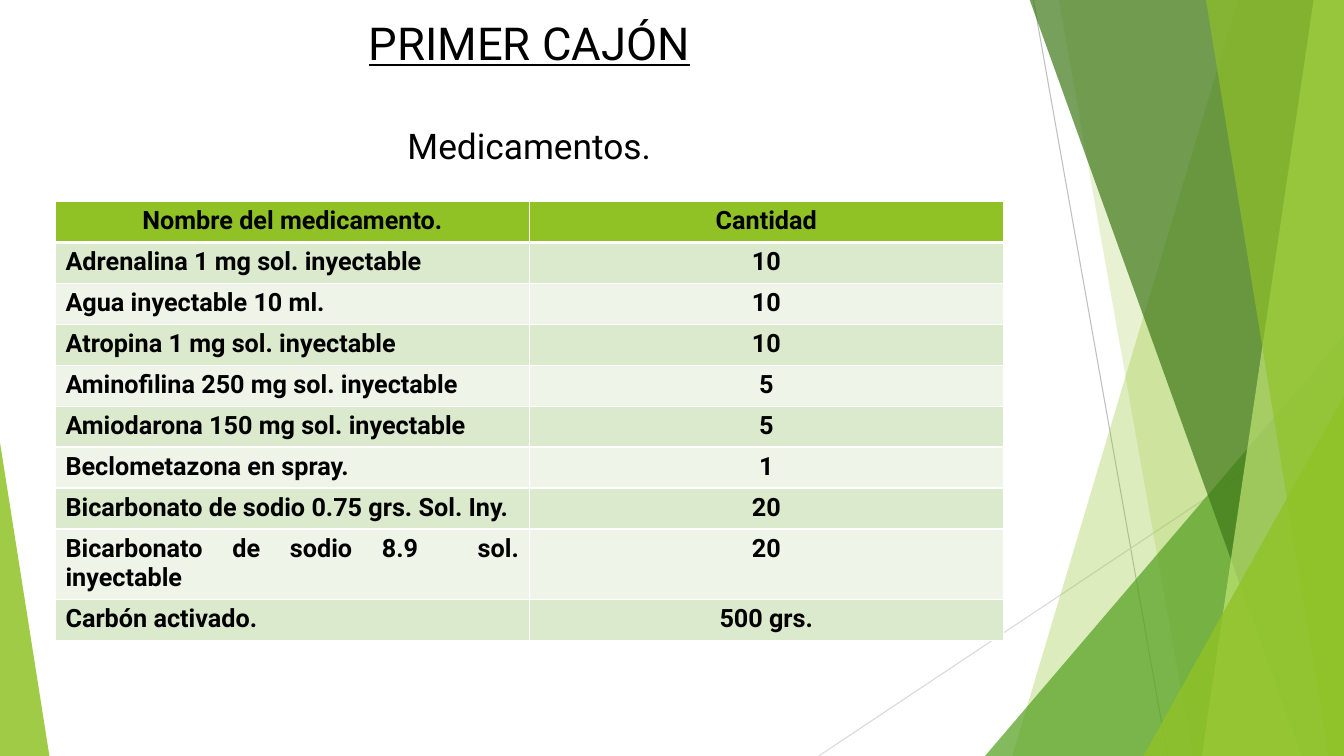
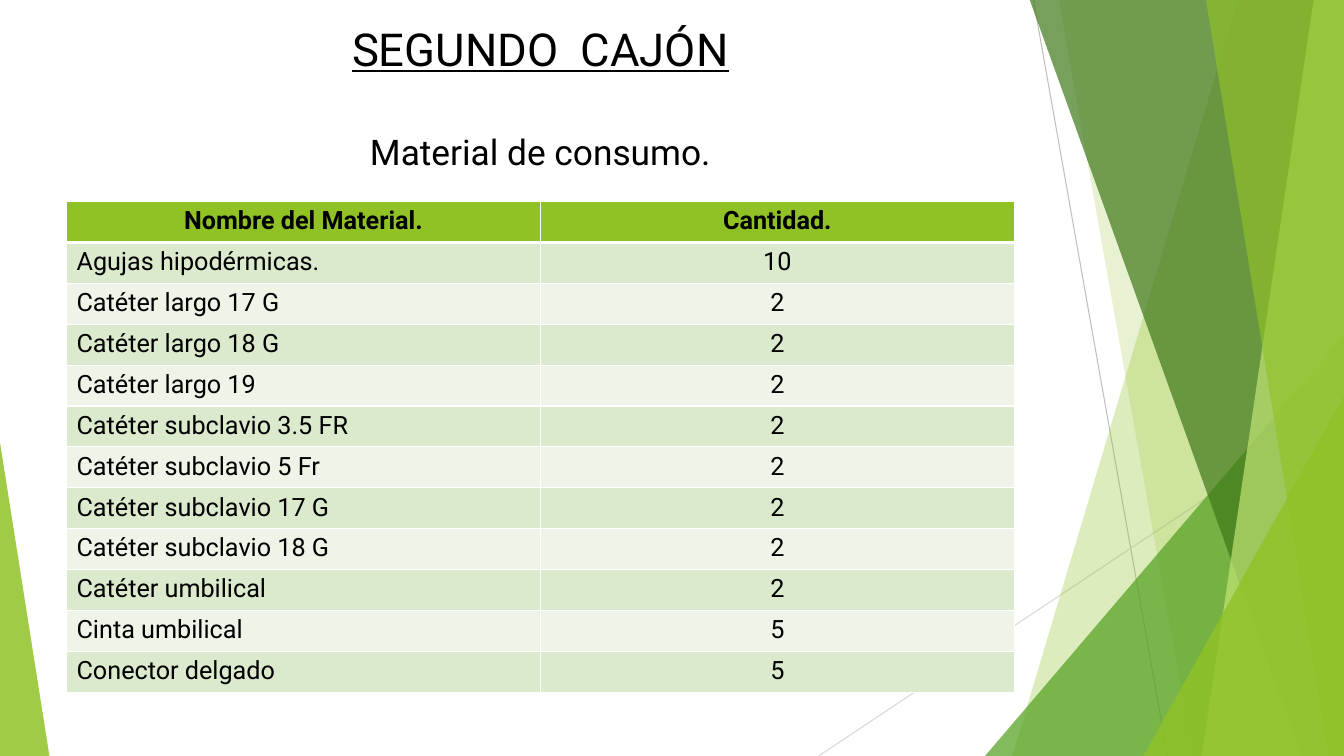
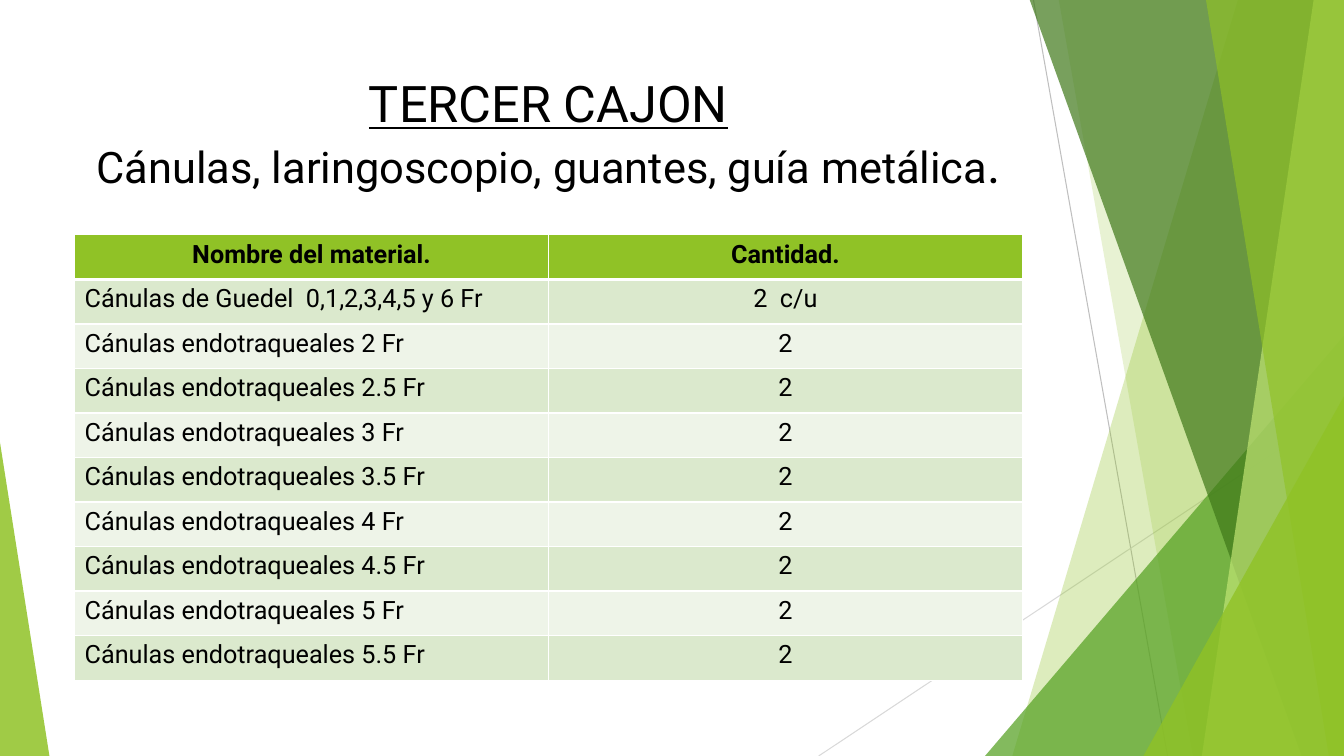
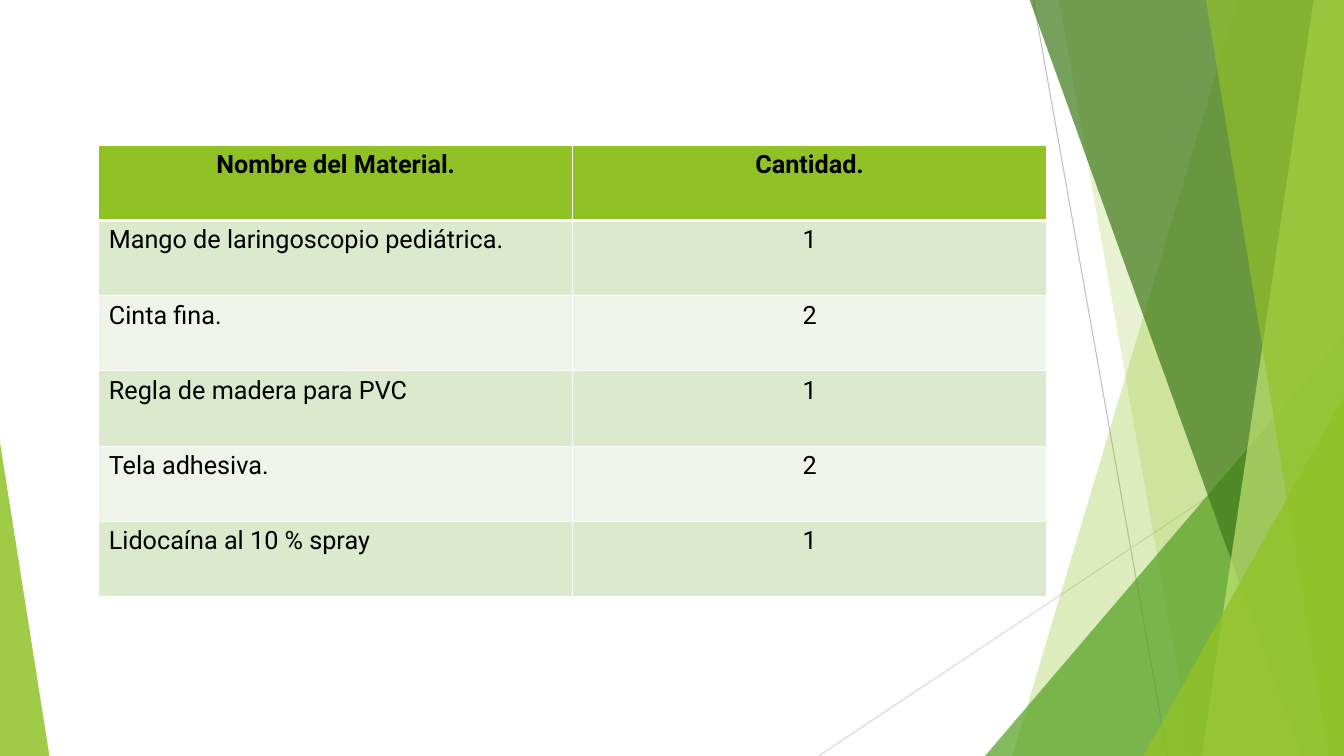
"""Build four slides listing the contents of the emergency cart drawers."""
from lxml import etree
from pptx import Presentation
from pptx.dml.color import RGBColor
from pptx.enum import shapes, text
from pptx.oxml import ns
from pptx.util import Inches, Pt

COLORS = {
    "black": "000000", "white": "FFFFFF", "lime": "90C226", "green": "54A021",
    "forest": "3F7819", "pale": "C0E474", "band": "DBE9CD", "band_alt": "EEF4E8",
    "line": "BFBFBF", "line_soft": "D9D9D9",
}
FONT = "Roboto"
WIDTH, HEIGHT, TOP = 13.33, 7.5, -0.01
TABLE_WIDTH, TITLE_HEIGHT = 9.4, 1.44

LINES = [((10.25, 0), (11.58, HEIGHT), "line"), ((WIDTH, 4.03), (8.12, HEIGHT), "line_soft")]
FACETS = [
    ("band", (12.28, 10.04), "lime", 30),
    ("band", (10.5, 11.83), "lime", 20),
    ("triangle", (9.77, 3.33, 3.56, 1), "green", 72),
    ("band", (10.21, 12.91), "forest", 70),
    ("band", (13.03, 11.92), "pale", 70),
    ("band", (11.96, 13.18), "lime", 65),
    ("triangle", (11.34, 3.93, 1.99, 1), "lime", 80),
    ("triangle", (0, 4.39, 0.49, 0), "lime", 85),
]

SLIDES = [
    {
        "left": 0.55, "title_top": 0.1, "top": 2, "height": 4.06,
        "bold": True, "align": text.PP_ALIGN.JUSTIFY,
        "title": [(0, [("PRIMER CAJÓN", 32.4, True)]), (39, [("Medicamentos.", 25.2, False)])],
        "rows": [
            ("Nombre del medicamento.", "Cantidad"),
            ("Adrenalina 1 mg sol. inyectable", "10"),
            ("Agua inyectable 10 ml.", "10"),
            ("Atropina 1 mg sol. inyectable", "10"),
            ("Aminofilina 250 mg sol. inyectable", "5"),
            ("Amiodarona 150 mg sol. inyectable", "5"),
            ("Beclometazona en spray.", "1"),
            ("Bicarbonato de sodio 0.75 grs. Sol. Iny.", "20"),
            ("Bicarbonato de sodio 8.9  sol. inyectable", "20"),
            ("Carbón activado.", "500 grs."),
        ],
    },
    {
        "left": 0.66, "title_top": 0.16, "top": 2, "height": 4.87,
        "bold": False, "align": text.PP_ALIGN.LEFT,
        "title": [(0, [("SEGUNDO  CAJÓN", 32.4, True)]),
                  (39, [("Material de consumo.", 25.2, False)])],
        "rows": [
            ("Nombre del Material.", "Cantidad."),
            ("Agujas hipodérmicas.", "10"),
            ("Catéter largo 17 G", "2"),
            ("Catéter largo 18 G", "2"),
            ("Catéter largo 19", "2"),
            ("Catéter subclavio 3.5 FR", "2"),
            ("Catéter subclavio 5 Fr", "2"),
            ("Catéter subclavio 17 G", "2"),
            ("Catéter subclavio 18 G", "2"),
            ("Catéter umbilical", "2"),
            ("Cinta umbilical", "5"),
            ("Conector delgado", "5"),
        ],
    },
    {
        "left": 0.74, "title_top": 0.67, "top": 2.33, "height": 4.42,
        "bold": False, "align": text.PP_ALIGN.LEFT,
        "title": [(0, [("TERCER CAJON", 36, True)]),
                  (0, [("Cánulas, laringoscopio, guantes, guía metálica", 31, False),
                       (".", 36, False)])],
        "rows": [
            ("Nombre del material.", "Cantidad."),
            ("Cánulas de Guedel  0,1,2,3,4,5 y 6 Fr", "2  c/u"),
            ("Cánulas endotraqueales 2 Fr", "2"),
            ("Cánulas endotraqueales 2.5 Fr", "2"),
            ("Cánulas endotraqueales 3 Fr", "2"),
            ("Cánulas endotraqueales 3.5 Fr", "2"),
            ("Cánulas endotraqueales 4 Fr", "2"),
            ("Cánulas endotraqueales 4.5 Fr", "2"),
            ("Cánulas endotraqueales 5 Fr", "2"),
            ("Cánulas endotraqueales 5.5 Fr", "2"),
        ],
    },
    {
        "left": 0.98, "title_top": 0, "top": 1.44, "height": 4.48,
        "bold": False, "align": text.PP_ALIGN.LEFT,
        "title": [],
        "rows": [
            ("Nombre del Material.", "Cantidad."),
            ("Mango de laringoscopio pediátrica.", "1"),
            ("Cinta fina.", "2"),
            ("Regla de madera para PVC", "1"),
            ("Tela adhesiva.", "2"),
            ("Lidocaína al 10 % spray", "1"),
        ],
    },
]


def rgb(name):
    return RGBColor.from_string(COLORS[name])


def add_run(p, words, **style):
    r = p.add_run()
    r.text = words
    r.font.color.rgb = rgb("black")
    for key, value in {"name": FONT, **style}.items():
        setattr(r.font, key, value)


def add_line(s, start, end, color):
    line = s.shapes.add_connector(shapes.MSO_CONNECTOR.STRAIGHT, *map(Inches, start + end))
    line.line.color.rgb = rgb(color)
    line.line.width = Pt(0.75)
    etree.SubElement(line.element.spPr, ns.qn("a:effectLst"))


def add_facet(s, kind, place, color, alpha):
    if kind == "triangle":
        left, top, width, apex = place
        sp = s.shapes.add_shape(shapes.MSO_SHAPE.ISOSCELES_TRIANGLE,
                                *map(Inches, (left, top, width, HEIGHT - top)))
        sp.adjustments[0] = apex
    else:
        upper, lower = place
        points = [(upper, TOP), (WIDTH, TOP), (WIDTH, HEIGHT), (lower, HEIGHT)]
        corners = [(Inches(x), Inches(y)) for x, y in points]
        builder = s.shapes.build_freeform(*corners[0])
        builder.add_line_segments(corners[1:], close=True)
        sp = builder.convert_to_shape()
    sp.shadow.inherit = False
    sp.line.fill.background()
    sp.fill.solid()
    sp.fill.fore_color.rgb = rgb(color)
    clr = sp.element.spPr.find(".//" + ns.qn("a:srgbClr"))
    etree.SubElement(clr, ns.qn("a:alpha"), val=str(alpha * 1000))


def decorate_layout(layout, s):
    """Draw the facets on a slide and move them to its layout."""
    for sh in list(layout.placeholders):
        layout.shapes.element.remove(sh.element)
    for line in LINES:
        add_line(s, *line)
    for facet in FACETS:
        add_facet(s, *facet)
    for sh in list(s.shapes):
        layout.shapes.element.append(sh.element)


def add_title(s, left, top, lines):
    tf = s.shapes.add_textbox(*map(Inches, (left, top, TABLE_WIDTH, TITLE_HEIGHT))).text_frame
    tf.word_wrap = True
    for i, (gap, runs) in enumerate(lines):
        p = tf.add_paragraph() if i else tf.paragraphs[0]
        p.alignment = text.PP_ALIGN.CENTER
        p.space_before = Pt(gap)
        for words, size, underline in runs:
            add_run(p, words, size=Pt(size), underline=underline)


def add_borders(cell, row):
    widths = {"L": 1, "R": 1, "T": 3 if row == 1 else 1, "B": 3 if row == 0 else 1}
    for side, width in widths.items():
        ln = etree.SubElement(cell._tc.get_or_add_tcPr(), ns.qn("a:ln" + side), w=str(Pt(width)))
        fill = etree.SubElement(ln, ns.qn("a:solidFill"))
        etree.SubElement(fill, ns.qn("a:srgbClr"), val=COLORS["white"])


def add_supplies(s, spec):
    rows = spec["rows"]
    frame = s.shapes.add_table(len(rows), 2, *map(
        Inches, (spec["left"], spec["top"], TABLE_WIDTH, spec["height"])))
    for i, row in enumerate(rows):
        frame.table.rows[i].height = Inches(spec["height"] / len(rows))
        color = "lime" if i == 0 else "band" if i % 2 else "band_alt"
        for j, words in enumerate(row):
            cell = frame.table.cell(i, j)
            add_borders(cell, i)
            cell.fill.solid()
            cell.fill.fore_color.rgb = rgb(color)
            p = cell.text_frame.paragraphs[0]
            p.alignment = spec["align"] if i and j == 0 else text.PP_ALIGN.CENTER
            add_run(p, words, size=Pt(18), bold=i == 0 or spec["bold"])


def main():
    prs = Presentation()
    prs.slide_width, prs.slide_height = Inches(WIDTH), Inches(HEIGHT)
    layout = prs.slide_layouts[6]
    for i, spec in enumerate(SLIDES):
        s = prs.slides.add_slide(layout)
        if i == 0:
            decorate_layout(layout, s)
        if spec["title"]:
            add_title(s, spec["left"], spec["title_top"], spec["title"])
        add_supplies(s, spec)
    prs.save("out.pptx")


if __name__ == "__main__":
    main()
